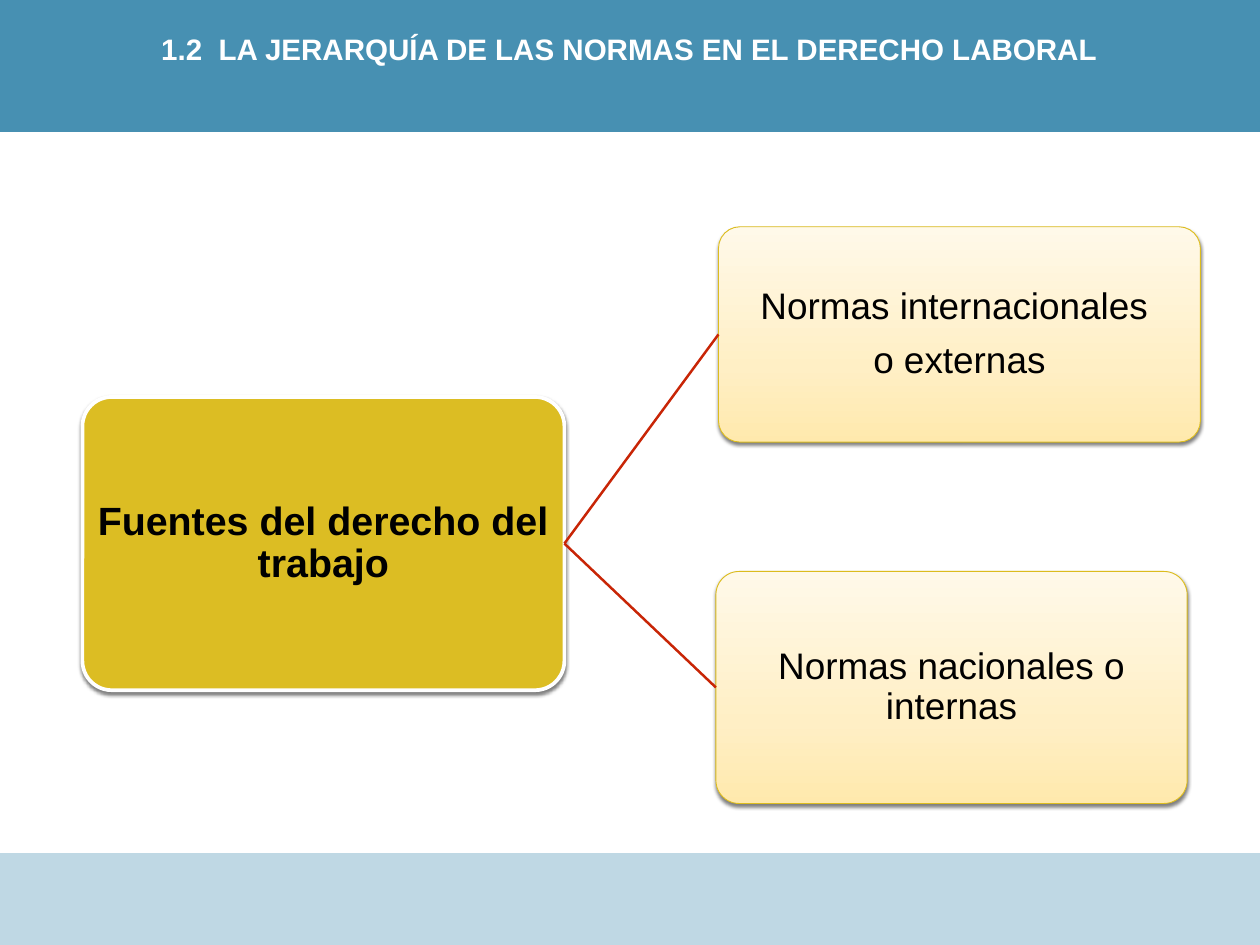
from copy import deepcopy
from dataclasses import dataclass

from lxml import etree
from pptx import Presentation
from pptx import util as u
from pptx.dml import color
from pptx.enum import shapes, text
from pptx.oxml import ns


@dataclass(frozen=True)
class Theme:
    font: str = "Arial"
    blue: str = "2E81A8"
    gold: str = "DCBD23"
    edge: str = "DCBC1E"
    red: str = "C82506"
    black: str = "000000"
    white: str = "FFFFFF"
    cream: tuple = ((0, "FFE9AD"), (0.35, "FFEFC5"), (1, "FFF9E9"))
    title: int = 24
    root: int = 32
    leaf: int = 30


THEME = Theme()
KIND = shapes.MSO_SHAPE


def rgb(code):
    return color.RGBColor.from_string(code)


def apply(item, style):
    for name, value in style.items():
        setattr(item, name, value)


def add_node(parent, tag, **attrs):
    return etree.SubElement(parent, ns.qn(tag), attrs)


def add_alpha(parent, share):
    add_node(parent, "a:alpha", val=str(share * 1000))


def write(shape, lines, size, tint, bold=False, gap=0, ratio=1, inset=0, foot=0):
    frame = shape.text_frame
    apply(frame, {
        "word_wrap": True,
        "vertical_anchor": text.MSO_ANCHOR.MIDDLE,
        "margin_left": u.Pt(inset),
        "margin_right": u.Pt(inset),
        "margin_top": u.Pt(inset),
        "margin_bottom": u.Pt(inset + foot),
    })
    for rank, line in enumerate(lines):
        para = frame.add_paragraph() if rank else frame.paragraphs[0]
        apply(para, {
            "alignment": text.PP_ALIGN.CENTER,
            "line_spacing": ratio,
            "space_after": u.Pt(gap if rank < len(lines) - 1 else 0),
        })
        run = para.add_run()
        run.text = line
        apply(run.font, {"name": THEME.font, "size": u.Pt(size), "bold": bold})
        run.font.color.rgb = rgb(tint)


def add_form(slide, kind, box):
    shape = slide.shapes.add_shape(kind, *map(u.Pt, box))
    shape.shadow.inherit = False
    return shape


def add_band(slide, box, share):
    band = add_form(slide, KIND.RECTANGLE, box)
    band.fill.solid()
    band.fill.fore_color.rgb = rgb(THEME.blue)
    band.line.fill.background()
    add_alpha(band._element.spPr.find(".//" + ns.qn("a:srgbClr")), share)
    return band


def add_card(slide, box, edge, width):
    card = add_form(slide, KIND.ROUNDED_RECTANGLE, box)
    card.adjustments[0] = 0.1
    card.line.color.rgb = rgb(edge)
    card.line.width = u.Pt(width)
    glow = add_node(card._element.spPr.find(ns.qn("a:effectLst")), "a:outerShdw",
                    blurRad=str(u.Pt(3)), dist=str(u.Pt(2)), dir="5400000",
                    rotWithShape="0")
    add_alpha(add_node(glow, "a:srgbClr", val=THEME.black), 50)
    return card


def add_root(slide, box, lines):
    card = add_card(slide, box, THEME.white, 3)
    card.fill.solid()
    card.fill.fore_color.rgb = rgb(THEME.gold)
    write(card, lines, THEME.root, THEME.black, bold=True, ratio=0.9, inset=1.44)
    return card


def add_leaf(slide, box, lines):
    card = add_card(slide, box, THEME.edge, 0.75)
    card.fill.gradient()
    card.fill.gradient_angle = 90
    first = card._element.spPr.find(".//" + ns.qn("a:gs"))
    first.addnext(deepcopy(first))
    for stop, (place, tint) in zip(card.fill.gradient_stops, THEME.cream):
        stop.position = place
        stop.color.rgb = rgb(tint)
    write(card, lines, THEME.leaf, THEME.black, gap=11.5, ratio=0.9, inset=1.44)
    return card


def add_link(slide, root, leaf):
    link = slide.shapes.add_connector(shapes.MSO_CONNECTOR.STRAIGHT, 0, 0, 0, 0)
    link.begin_connect(root, 3)
    link.end_connect(leaf, 1)
    link.line.color.rgb = rgb(THEME.red)
    link.line.width = u.Pt(2)
    add_node(link._element.spPr, "a:effectLst")


def main():
    deck = Presentation()
    apply(deck, {"slide_width": u.Pt(1024), "slide_height": u.Pt(768)})
    slide = deck.slides.add_slide(deck.slide_layouts[6])
    add_band(slide, (-0.7, 693.4, 1025.3, 77), 30)
    head = add_band(slide, (-1.4, 0, 1025.3, 107.3), 88)
    write(head, ["1.2  LA JERARQUÍA DE LAS NORMAS EN EL DERECHO LABORAL"],
          THEME.title, THEME.white, bold=True, foot=27.6)
    root = add_root(slide, (67, 322.6, 391.7, 238.3), ["Fuentes del derecho del trabajo"])
    leaves = [
        ((583.9, 184.3, 391.7, 175), ["Normas internacionales ", "o externas"]),
        ((581.8, 464.4, 383, 188.6), ["Normas nacionales o internas"]),
    ]
    for box, lines in leaves:
        add_link(slide, root, add_leaf(slide, box, lines))
    deck.save("out.pptx")


if __name__ == "__main__":
    main()
